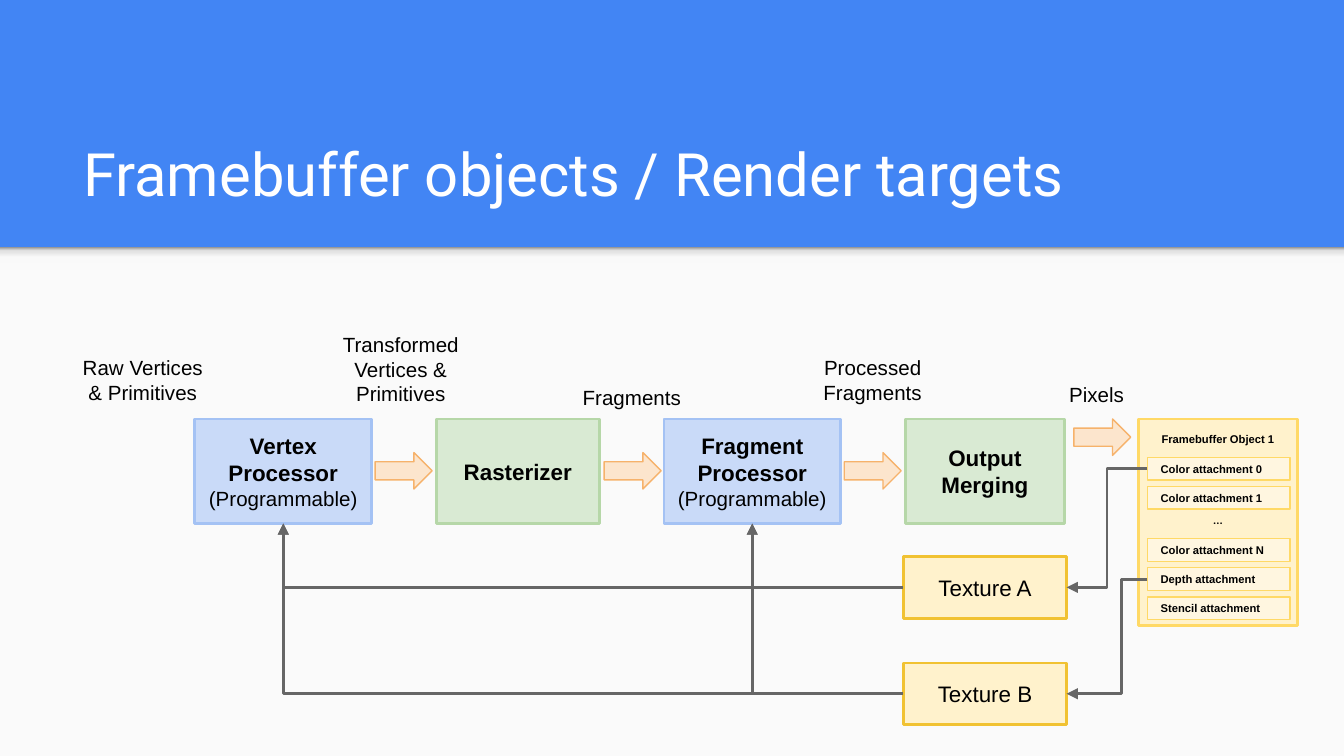
from lxml import etree
from pptx import Presentation
from pptx.dml.color import RGBColor
from pptx.enum import shapes, text
from pptx.oxml.ns import qn
from pptx.util import Pt

WHITE = RGBColor(0xFF, 0xFF, 0xFF)
BLACK = RGBColor(0, 0, 0)
BLUE = RGBColor(0x42, 0x85, 0xF4)
PANEL = RGBColor(0xFA, 0xFA, 0xFA)
GRAY = RGBColor(0x66, 0x66, 0x66)
LIGHT_BLUE, BLUE_EDGE = RGBColor(0xC9, 0xDA, 0xF8), RGBColor(0xA4, 0xC2, 0xF4)
LIGHT_GREEN, GREEN_EDGE = RGBColor(0xD9, 0xEA, 0xD3), RGBColor(0xB6, 0xD7, 0xA8)
LIGHT_ORANGE, ORANGE_EDGE = RGBColor(0xFC, 0xE5, 0xCD), RGBColor(0xF6, 0xB2, 0x6B)
LIGHT_YELLOW, YELLOW_EDGE = RGBColor(0xFF, 0xF2, 0xCC), RGBColor(0xFF, 0xD9, 0x66)
CREAM, GOLD = RGBColor(0xFF, 0xF6, 0xE0), RGBColor(0xF1, 0xC2, 0x32)
SHADOW_STOPS = [(0, "F9F9F9"), (36, "F9F9F9"), (80, "DEDEDE"), (100, "999999")]

STAGE_TOP, STAGE_HEIGHT = 224.5, 56
ATTACHMENT_PITCH = 15.6


def write(shape, lines, anchor=text.MSO_ANCHOR.MIDDLE, align=text.PP_ALIGN.CENTER):
    frame = shape.text_frame
    frame.word_wrap = True
    frame.auto_size = text.MSO_AUTO_SIZE.NONE
    frame.vertical_anchor = anchor
    frame.margin_left = frame.margin_right = Pt(7.2)
    frame.margin_top = frame.margin_bottom = Pt(7.2)
    for index, (words, size, bold, color, name) in enumerate(lines):
        paragraph = frame.add_paragraph() if index else frame.paragraphs[0]
        paragraph.text = words
        paragraph.alignment = align
        font = paragraph.font
        font.size, font.bold, font.name = Pt(size), bold, name
        font.color.rgb = color


def line(words, size, bold=False, color=BLACK, name="Arial"):
    return words, size, bold, color, name


def add_block(slide, box, fill, edge=None, width=1.5, kind=shapes.MSO_SHAPE.RECTANGLE):
    shape = slide.shapes.add_shape(kind, *map(Pt, box))
    shape.shadow.inherit = False
    shape.fill.solid()
    shape.fill.fore_color.rgb = fill
    if edge is None:
        shape.line.fill.background()
    else:
        shape.line.color.rgb = edge
        shape.line.width = Pt(width)
    return shape


def add_backdrop(slide):
    slide.background.fill.solid()
    slide.background.fill.fore_color.rgb = BLUE
    add_block(slide, (0, 132.5, 720, 272.5), PANEL)
    strip = add_block(slide, (0, 132.5, 720, 8.5), PANEL)
    strip.fill.gradient()
    strip.fill.gradient_angle = 90
    stops = strip.element.spPr.find(".//" + qn("a:gsLst"))
    stops.clear()
    for position, color in SHADOW_STOPS:
        stop = etree.SubElement(stops, qn("a:gs"), pos=str(position * 1000))
        etree.SubElement(stop, qn("a:srgbClr"), val=color)


def add_title(slide, words):
    title = slide.shapes.title
    title.left, title.top, title.width, title.height = map(Pt, (37.3, 58.2, 685, 60.5))
    write(title, [line(words, 32, color=WHITE, name="Roboto")],
          text.MSO_ANCHOR.BOTTOM, text.PP_ALIGN.LEFT)


def add_stage(slide, left, width, fill, edge, name, note=None):
    stage = add_block(slide, (left, STAGE_TOP, width, STAGE_HEIGHT), fill, edge)
    write(stage, [line(name, 12, True)] + ([line(note, 11)] if note else []))
    return stage


def add_label(slide, box, label, anchor=text.MSO_ANCHOR.TOP):
    write(slide.shapes.add_textbox(*map(Pt, box)), [label], anchor)


def add_attachment(slide, top, name):
    attachment = add_block(slide, (614.7, top, 76.5, 12.2), CREAM, YELLOW_EDGE, 0.75)
    write(attachment, [line(name, 6, True)], align=text.PP_ALIGN.LEFT)
    return attachment


def add_texture(slide, top, name):
    texture = add_block(slide, (484, top, 87.5, 33), LIGHT_YELLOW, GOLD)
    write(texture, [line(name, 12)])
    return texture


def add_elbow(slide, start, start_side, end, end_side, arrow_tag):
    connector = slide.shapes.add_connector(shapes.MSO_CONNECTOR.ELBOW, 0, 0, 0, 0)
    connector.begin_connect(start, start_side)
    connector.end_connect(end, end_side)
    connector.line.color.rgb = GRAY
    connector.line.width = Pt(1.5)
    etree.SubElement(connector.line._get_or_add_ln(), qn(arrow_tag), type="triangle")
    etree.SubElement(connector.element.spPr, qn("a:effectLst"))
    return connector


def feed_processor(slide, processor, texture):
    connector = add_elbow(slide, processor, 2, texture, 1, "a:headEnd")
    left, top = processor.left + processor.width // 2, processor.top + processor.height
    run = texture.left - left
    drop = texture.top + texture.height // 2 - top
    connector.left, connector.top = left + (run - drop) // 2, top + (drop - run) // 2
    connector.width, connector.height = drop, run
    properties = connector.element.spPr
    properties.find(qn("a:prstGeom")).set("prst", "bentConnector2")
    frame = properties.find(qn("a:xfrm"))
    frame.attrib.pop("flipV", None)
    frame.set("rot", "16200000")
    frame.set("flipH", "1")


def feed_texture(slide, attachment, texture, bend):
    connector = add_elbow(slide, attachment, 1, texture, 3, "a:tailEnd")
    guides = connector.element.spPr.find(qn("a:prstGeom")).get_or_add_avLst()
    etree.SubElement(guides, qn("a:gd"), name="adj1", fmla=f"val {bend * 1000}")


def main():
    presentation = Presentation()
    presentation.slide_width, presentation.slide_height = Pt(720), Pt(405)
    slide = presentation.slides.add_slide(presentation.slide_layouts[5])
    add_backdrop(slide)
    add_title(slide, "Framebuffer objects / Render targets")

    vertex = add_stage(slide, 104.4, 94.7, LIGHT_BLUE, BLUE_EDGE,
                       "Vertex Processor", "(Programmable)")
    fragment = add_stage(slide, 355.7, 94.7, LIGHT_BLUE, BLUE_EDGE,
                         "Fragment Processor", "(Programmable)")
    add_stage(slide, 233.7, 87.5, LIGHT_GREEN, GREEN_EDGE, "Rasterizer")
    add_stage(slide, 485, 85.3, LIGHT_GREEN, GREEN_EDGE, "Output Merging")

    for left, top, words in [(34, 183, "Raw Vertices & Primitives"),
                             (172.2, 170.7, "Transformed Vertices & Primitives"),
                             (296, 198.8, "Fragments"),
                             (425, 183, "Processed Fragments"),
                             (545, 197.5, "Pixels")]:
        add_label(slide, (left, top, 85, 36.7), line(words, 11))

    for left, top in [(201, 242.5), (323.7, 242.5), (452.3, 242.5), (575.3, 224.5)]:
        add_block(slide, (left, top, 30.5, 19.5), LIGHT_ORANGE, ORANGE_EDGE, 0.75,
                  shapes.MSO_SHAPE.RIGHT_ARROW)

    framebuffer = add_block(slide, (609.8, STAGE_TOP, 85.3, 110.8), LIGHT_YELLOW, YELLOW_EDGE)
    write(framebuffer, [line("Framebuffer Object 1", 6, True)], text.MSO_ANCHOR.TOP)
    attachments = {}
    for first_top, names in [(245, ["Color attachment 0", "Color attachment 1"]),
                             (288.6, ["Color attachment N", "Depth attachment",
                                      "Stencil attachment"])]:
        for index, name in enumerate(names):
            top = first_top + index * ATTACHMENT_PITCH
            attachments[name] = add_attachment(slide, top, name)
    add_label(slide, (627.7, 268, 49.7, 20.9), line("...", 6, True, name="Roboto"),
              text.MSO_ANCHOR.MIDDLE)

    texture_a = add_texture(slide, 298.2, "Texture A")
    texture_b = add_texture(slide, 355.2, "Texture B")
    for processor in (fragment, vertex):
        for texture in (texture_b, texture_a):
            feed_processor(slide, processor, texture)
    feed_texture(slide, attachments["Color attachment 0"], texture_a, 50)
    feed_texture(slide, attachments["Depth attachment"], texture_b, 32)

    presentation.save("out.pptx")


if __name__ == "__main__":
    main()
